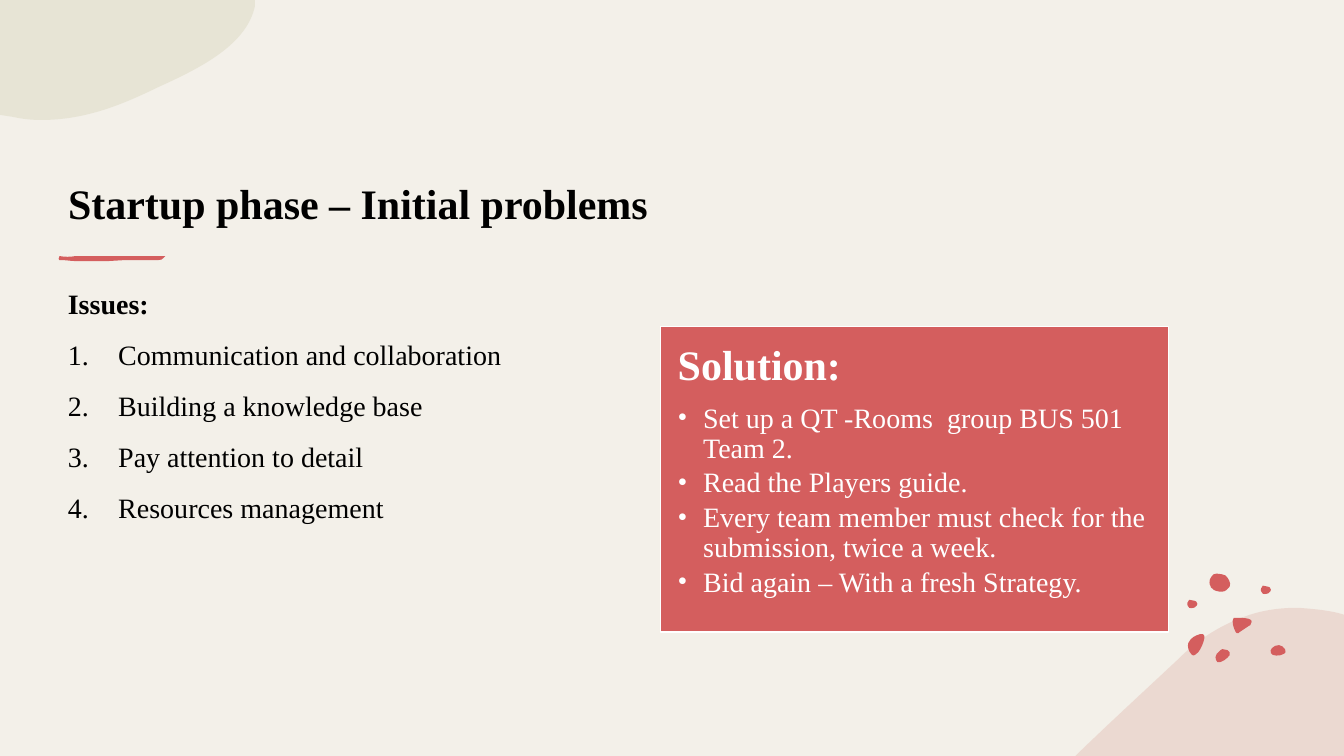
from pptx import Presentation
from pptx.util import Cm, Pt
from pptx.dml.color import RGBColor
from pptx.enum.shapes import MSO_SHAPE
from pptx.enum.text import MSO_ANCHOR, PP_ALIGN
from lxml.etree import SubElement
from pptx.oxml.ns import qn

# Content
TITLE = "Startup phase – Initial problems"
ISSUES_HEADING = "Issues:"
ISSUES = [
    "Communication and collaboration",
    "Building a knowledge base",
    "Pay attention to detail",
    "Resources management",
]
SOLUTION_HEADING = "Solution:"
SOLUTIONS = [
    "Set up a QT -Rooms\u00a0 group BUS 501 Team 2.",
    "Read the Players guide.",
    "Every team member must check for the submission, twice a week.",
    "Bid again – With a fresh Strategy.",
]

FONT = "Times New Roman"
CREAM, RED, PINK, OLIVE = "F3F0E9", "D45E5E", "E5C4BA", "DCD9C3"
BLACK, WHITE = "000000", "FFFFFF"
NUMBERED = [("a:buFont", {"typeface": "+mj-lt"}), ("a:buAutoNum", {"type": "arabicPeriod"})]
BULLETED = [("a:buFont", {"typeface": FONT}), ("a:buChar", {"char": "•"})]

# Outlines in inches: a pair is a straight step, six numbers are a Bézier curve
INCH = 2.54
PINK_HILL = [
    (12.88, 6.03), (13.01, 6.04, 13.14, 6.05, 13.27, 6.08), (13.34, 6.1), (13.34, 7.5),
    (10.67, 7.5), (10.68, 7.49), (11.02, 7.16, 11.37, 6.84, 11.69, 6.54),
    (11.91, 6.32, 12.14, 6.19, 12.37, 6.11), (12.54, 6.05, 12.71, 6.03, 12.88, 6.03),
]
OLIVE_CORNER = [
    (0, 0), (2.53, 0), (2.53, 0.06), (2.45, 0.44, 2, 0.67, 1.58, 0.86),
    (1.23, 1.03, 0.86, 1.19, 0.41, 1.19), (0.31, 1.19, 0.22, 1.18, 0.13, 1.16), (0, 1.14),
]
UNDERLINE = [
    (0.59, 2.54), (0.64, 2.55, 0.7, 2.55, 0.75, 2.54), (1.11, 2.54), (1.64, 2.54),
    (1.61, 2.55, 1.63, 2.58, 1.57, 2.58), (1.24, 2.58), (1.07, 2.59), (0.75, 2.59),
    (0.71, 2.59, 0.65, 2.58, 0.61, 2.58), (0.57, 2.59, 0.58, 2.55, 0.59, 2.54),
]
PEBBLES = [
    [(12.13, 6.44), (12.15, 6.44, 12.16, 6.44, 12.18, 6.45), (12.2, 6.46, 12.21, 6.48, 12.2, 6.5),
     (12.18, 6.53, 12.12, 6.58, 12.08, 6.57), (12.07, 6.56, 12.06, 6.54, 12.06, 6.52),
     (12.06, 6.5, 12.08, 6.47, 12.1, 6.46), (12.11, 6.45, 12.12, 6.44, 12.13, 6.44)],
    [(11.91, 6.29), (11.93, 6.29, 11.95, 6.29, 11.95, 6.31), (11.95, 6.33),
     (11.94, 6.38, 11.92, 6.43, 11.89, 6.47), (11.87, 6.49, 11.84, 6.52, 11.82, 6.49),
     (11.79, 6.46, 11.78, 6.41, 11.79, 6.38), (11.8, 6.35, 11.82, 6.34, 11.84, 6.32),
     (11.85, 6.32, 11.88, 6.29, 11.91, 6.29)],
    [(12.69, 6.4), (12.71, 6.4, 12.74, 6.42, 12.75, 6.44), (12.76, 6.46, 12.76, 6.48, 12.73, 6.49),
     (12.7, 6.51, 12.62, 6.51, 12.61, 6.48), (12.6, 6.46, 12.61, 6.44, 12.62, 6.43),
     (12.64, 6.41, 12.66, 6.4, 12.69, 6.4)],
    [(12.01, 5.81), (12, 5.81, 11.99, 5.75, 12.02, 5.72), (12.04, 5.7, 12.04, 5.69, 12.07, 5.69),
     (12.1, 5.69, 12.14, 5.7, 12.16, 5.71), (12.18, 5.73, 12.22, 5.78, 12.2, 5.82),
     (12.17, 5.85, 12.16, 5.87, 12.12, 5.87), (12.09, 5.87, 12.04, 5.86, 12.03, 5.84),
     (12.01, 5.83, 12.01, 5.82, 12.01, 5.81)],
    [(12.28, 6.13), (12.34, 6.13, 12.45, 6.13, 12.41, 6.19), (12.41, 6.2, 12.4, 6.21, 12.39, 6.21),
     (12.36, 6.23, 12.33, 6.25, 12.3, 6.27), (12.29, 6.28, 12.28, 6.29, 12.27, 6.28),
     (12.26, 6.27), (12.24, 6.23, 12.23, 6.2, 12.23, 6.16), (12.23, 6.15, 12.23, 6.14, 12.24, 6.13)],
]
SMALL_PEBBLE = [
    (0, 0.05), (0, 0.05, 0, 0.01, 0.02, 0), (0.04, 0, 0.05, 0, 0.07, 0.01),
    (0.08, 0.01, 0.1, 0.02, 0.1, 0.04), (0.1, 0.05, 0.09, 0.07, 0.08, 0.07),
    (0.08, 0.07, 0.08, 0.08, 0.06, 0.08), (0.05, 0.08, 0.03, 0.09, 0.02, 0.08),
    (0.01, 0.06, 0, 0.06, 0, 0.05),
]
SMALL_PEBBLE_SPOTS = [(12.51, 5.81), (11.78, 5.95)]


def color(value):
    return RGBColor.from_string(value)


def add_outline(outline, fill, opacity=100, offset=(0, 0)):
    # Each step becomes its points, the last one being where it ends
    steps = [[(Cm((x + offset[0]) * INCH), Cm((y + offset[1]) * INCH))
              for x, y in zip(step[::2], step[1::2])] for step in outline]
    builder = slide.shapes.build_freeform(*steps[0][0])
    builder.add_line_segments([step[-1] for step in steps[1:]], close=True)
    blob = builder.convert_to_shape()
    # Bend the straight segments that have control points
    segments = list(blob._element.iter(qn("a:lnTo")))
    for segment, (*controls, _) in zip(segments, steps[1:]):
        if controls:
            segment.tag = qn("a:cubicBezTo")
            for i, (x, y) in enumerate(controls):
                control = SubElement(segment, qn("a:pt"),
                                     x=str(x - blob.left), y=str(y - blob.top))
                segment.insert(i, control)
    blob.shadow.inherit = False
    blob.line.fill.background()
    blob.fill.solid()
    blob.fill.fore_color.rgb = color(fill)
    if opacity < 100:
        tint = blob._element.spPr.find(qn("a:solidFill")).find(qn("a:srgbClr"))
        SubElement(tint, qn("a:alpha"), val=str(opacity * 1000))


def add_text(frame, text, size, ink, bold=False, marker=(), indent=0,
             line=None, before=None, after=None):
    paragraph = frame.paragraphs[0]
    if paragraph.text:
        paragraph = frame.add_paragraph()
        paragraph.space_before = before
    paragraph.text = text
    paragraph.alignment = PP_ALIGN.LEFT
    paragraph.line_spacing = line
    paragraph.space_after = after
    if marker:
        properties = paragraph._p.get_or_add_pPr()
        properties.set("marL", str(Cm(indent)))
        properties.set("indent", str(-Cm(indent)))
        for tag, attributes in marker:
            SubElement(properties, qn(tag), **attributes)
    font = paragraph.font
    font.name, font.size, font.bold = FONT, Pt(size), bold
    font.color.rgb = color(ink)


deck = Presentation()
deck.slide_width, deck.slide_height = Cm(33.87), Cm(19.05)
slide = deck.slides.add_slide(deck.slide_layouts[5])
slide.background.fill.solid()
slide.background.fill.fore_color.rgb = color(CREAM)

# Decoration
add_outline(PINK_HILL, PINK, opacity=50)
for pebble in PEBBLES:
    add_outline(pebble, RED)
for spot in SMALL_PEBBLE_SPOTS:
    add_outline(SMALL_PEBBLE, RED, offset=spot)
add_outline(OLIVE_CORNER, OLIVE, opacity=50)
add_outline(UNDERLINE, RED)

# Title
title = slide.shapes.title
title.left, title.top, title.width, title.height = Cm(1.46), Cm(2.18), Cm(28), Cm(3.68)
title.text_frame.vertical_anchor = MSO_ANCHOR.BOTTOM
add_text(title.text_frame, TITLE, 30, BLACK, bold=True)

# Issues
issues = slide.shapes.add_textbox(Cm(1.46), Cm(7.01), Cm(12.9), Cm(10.16)).text_frame
issues.word_wrap = True
add_text(issues, ISSUES_HEADING, 20, BLACK, bold=True, line=1.1)
for issue in ISSUES:
    add_text(issues, issue, 20, BLACK, marker=NUMBERED, indent=1.27, line=1.1, before=Pt(10))

# Solution panel
panel = slide.shapes.add_shape(MSO_SHAPE.RECTANGLE, Cm(16.65), Cm(8.23), Cm(12.8), Cm(7.7))
panel.shadow.inherit = False
panel.fill.solid()
panel.fill.fore_color.rgb = color(RED)
panel.line.color.rgb = color(WHITE)
panel.line.width = Pt(1)
solution = panel.text_frame
solution.word_wrap = True
solution.vertical_anchor = MSO_ANCHOR.TOP
solution.margin_left = solution.margin_right = Cm(0.43)
solution.margin_top = solution.margin_bottom = Cm(0.44)
add_text(solution, SOLUTION_HEADING, 30, WHITE, bold=True, line=0.9, after=Pt(10.5))
for action in SOLUTIONS:
    add_text(solution, action, 20, WHITE, marker=BULLETED, indent=0.64, line=0.9, after=Pt(3))

deck.save("out.pptx")
